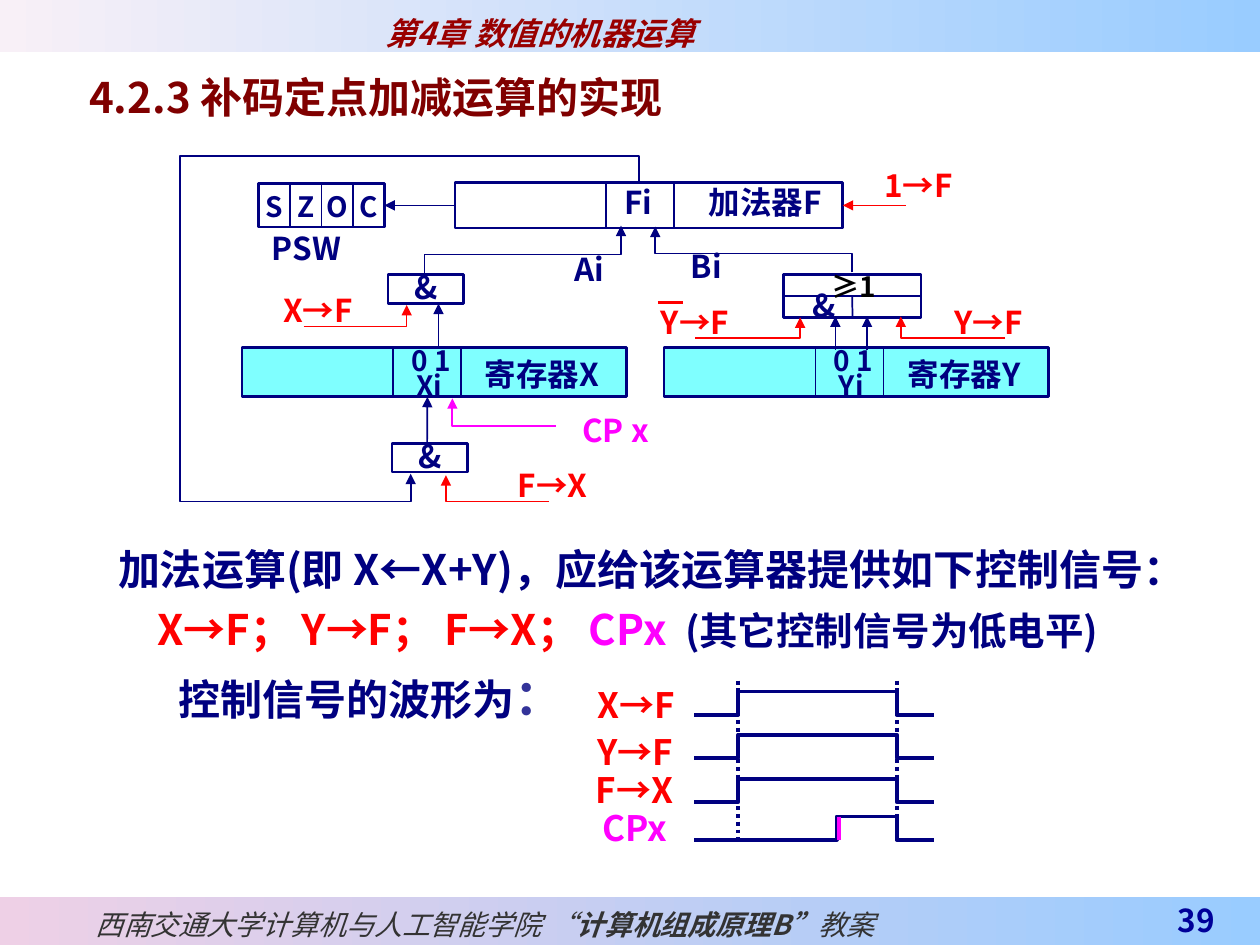
from dataclasses import dataclass
from typing import NamedTuple

import pptx
import pptx.dml.color
import pptx.enum.dml
import pptx.enum.shapes
import pptx.enum.text
import pptx.oxml.ns
import pptx.util
from lxml import etree

Cm, Pt, qn = pptx.util.Cm, pptx.util.Pt, pptx.oxml.ns.qn
ALIGN, ANCHOR = pptx.enum.text.PP_ALIGN, pptx.enum.text.MSO_ANCHOR
RECTANGLE = pptx.enum.shapes.MSO_SHAPE.RECTANGLE
STRAIGHT = pptx.enum.shapes.MSO_CONNECTOR.STRAIGHT
TOP, LEFT, BOTTOM, RIGHT = range(4)
SANS = "Noto Sans CJK SC"
NAVY, RED, MAGENTA, BLACK, CYAN = "000080", "FF0000", "FF00FF", "000000", "00FFFF"


class Place(NamedTuple):
    x: float
    y: float
    w: float
    h: float


@dataclass
class Run:
    text: str
    size: float = 18
    color: str = NAVY
    bold: bool = True
    italic: bool = False
    font: str = SANS


class Label(NamedTuple):
    text: str
    place: Place
    color: str = NAVY
    size: float = 18


class Wire(NamedTuple):
    """A bent line whose last point carries the arrowhead."""
    points: list
    color: str = NAVY
    weight: float = 1


class Wave(NamedTuple):
    name: str
    color: str
    name_x: float
    name_y: float
    high: float
    rise: float


def rgb(value: str):
    return pptx.dml.color.RGBColor.from_string(value)


def write(frame, paragraphs: list, align=ALIGN.LEFT, anchor=ANCHOR.TOP,
          margins=(0, 0, 0, 0), spacing=None) -> None:
    """Fill a text frame; margins are left, top, right, bottom in cm."""
    frame.word_wrap = True
    frame.vertical_anchor = anchor
    (frame.margin_left, frame.margin_top,
     frame.margin_right, frame.margin_bottom) = map(Cm, margins)
    for number, runs in enumerate(paragraphs):
        para = frame.add_paragraph() if number else frame.paragraphs[0]
        para.alignment = align
        if spacing:
            para.line_spacing = spacing
        for run in runs:
            span = para.add_run()
            span.text = run.text
            font = span.font
            font.size, font.bold, font.italic = Pt(run.size), run.bold, run.italic
            font.color.rgb = rgb(run.color)
            font.name = run.font
            etree.SubElement(font._element, qn("a:ea")).set("typeface", SANS)


def text_box(page, place: Place, paragraphs: list, **layout):
    box = page.shapes.add_textbox(*map(Cm, place))
    write(box.text_frame, paragraphs, **layout)
    return box


def draw_label(page, label: Label, align=ALIGN.CENTER) -> None:
    text_box(page, label.place, [[Run(label.text, label.size, label.color)]], align=align)


def rectangle(page, place: Place, weight: float, fill: str = "", opacity: int = 100):
    box = page.shapes.add_shape(RECTANGLE, *map(Cm, place))
    box.shadow.inherit = False
    box.line.color.rgb, box.line.width = rgb(NAVY), Pt(weight)
    if fill:
        box.fill.solid()
        box.fill.fore_color.rgb = rgb(fill)
        if opacity < 100:
            color = box._element.spPr.find(qn("a:solidFill"))[0]
            etree.SubElement(color, qn("a:alpha")).set("val", str(opacity * 1000))
    else:
        box.fill.background()
    return box


def band(page, place: Place, start: str, end: str):
    box = rectangle(page, place, 1)
    box.line.fill.background()
    box.fill.gradient()
    box.fill.gradient_angle = 0
    for stop, color in zip(box.fill.gradient_stops, (start, end)):
        stop.color.rgb = rgb(color)
    return box


def add_arrowhead(line) -> None:
    etree.SubElement(line._get_or_add_ln(), qn("a:tailEnd")).set("type", "triangle")


def straight(page, start, end, color=NAVY, weight=1.0, arrow=False):
    """Each end is a point in cm or a (shape, side) pair to join."""
    points = [(0, 0) if hasattr(end_[0], "shape_id") else end_ for end_ in (start, end)]
    link = page.shapes.add_connector(STRAIGHT, *(Cm(v) for point in points for v in point))
    if hasattr(start[0], "shape_id"):
        link.begin_connect(*start)
    if hasattr(end[0], "shape_id"):
        link.end_connect(*end)
    link.line.color.rgb, link.line.width = rgb(color), Pt(weight)
    etree.SubElement(link._element.spPr, qn("a:effectLst"))
    if arrow:
        add_arrowhead(link.line)
    return link


def bent(page, wire: Wire, arrow: bool = True) -> None:
    first, *rest = [(Cm(x), Cm(y)) for x, y in wire.points]
    builder = page.shapes.build_freeform(*first)
    builder.add_line_segments(rest, close=False)
    shape = builder.convert_to_shape()
    shape.shadow.inherit = False
    shape.fill.background()
    shape.line.color.rgb, shape.line.width = rgb(wire.color), Pt(wire.weight)
    if arrow:
        add_arrowhead(shape.line)


def and_gate(page, x: float, y: float) -> None:
    rectangle(page, Place(x, y, 1.52, 0.58), 1.5, "FFFFFF")
    draw_label(page, Label("&", Place(x - 0.16, y - 0.13, 1.85, 0.61)))


def register(page, name: str, x: float, y: float):
    """Draw a register and return its bit cell."""
    rectangle(page, Place(x, y, 7.75, 1), 1.5, CYAN, 50)
    cell = rectangle(page, Place(x + 3.05, y, 1.37, 1), 1)
    draw_label(page, Label("寄存器" + name, Place(x + 4.09, y + 0.15, 3.91, 0.84)))
    draw_label(page, Label(name + "i", Place(x + 2.74, y + 0.42, 2.06, 0.85), size=16))
    draw_label(page, Label("0 1", Place(x + 2.78, y - 0.08, 2.06, 0.85), size=16))
    return cell


def draw_frame(page) -> None:
    """Header, footer, page number and title."""
    header = band(page, Place(0, 0, 25.4, 1.06), "F8F0F7", "99CCFF")
    write(header.text_frame, [[Run("第4章 数值的机器运算", color="990000", italic=True)]],
          margins=(7.77, 0.13, 0.25, 0.13), spacing=1.2)
    footer = band(page, Place(0, 18.09, 25.4, 0.96), "EED0E6", "99CCFF")
    parts = [("西南交通大学计算机与人工智能学院 ", False, SANS), ("“", False, "Arial"),
             ("计算机组成", True, "Times New Roman"), ("原理B”", True, SANS),
             ("教案", False, SANS)]
    write(footer.text_frame, [[Run(text, 16, "333333", bold, True, font)
                               for text, bold, font in parts]],
          anchor=ANCHOR.MIDDLE, margins=(1.92, 0.13, 0.25, 0.13), spacing=1.2)
    text_box(page, Place(22, 18.09, 2.74, 0.96), [[Run("39", color="000099")]],
             align=ALIGN.RIGHT, anchor=ANCHOR.BOTTOM,
             margins=(0.25, 0, 0.25, 0.13), spacing=1.2)
    text_box(page, Place(1.55, 1.32, 23.85, 1.14),
             [[Run("4.2.3 补码定点加减运算的实现", 24, "800000")]],
             margins=(0.25, 0.13, 0.25, 0))


def draw_circuit(page) -> None:
    and_gate(page, 7.82, 5.54)
    and_gate(page, 7.9, 8.94)
    or_gate = rectangle(page, Place(15.8, 5.54, 2.77, 0.86), 1.5, "FFFFFF")
    straight(page, (or_gate, LEFT), (or_gate, RIGHT))
    straight(page, (17.18, 5.97), (or_gate, BOTTOM))
    adder = rectangle(page, Place(9.17, 3.68, 7.82, 0.92), 1.5)
    rectangle(page, Place(12.22, 3.68, 1.37, 0.92), 1)
    x_cell = register(page, "X", 4.88, 7)
    register(page, "Y", 13.39, 7)
    status = Place(5.21, 3.7, 2.54, 0.88)
    width = status.w / 4
    for index, flag in enumerate("SZOC"):
        cell = rectangle(page, Place(status.x + index * width, status.y, width, status.h), 0.75)
        write(cell.text_frame, [[Run(flag, 16)]], align=ALIGN.CENTER,
              margins=(0, 0.13, 0, 0.13))
    status_box = rectangle(page, status, 1.5)

    straight(page, (adder, LEFT), (status_box, RIGHT), arrow=True)
    straight(page, (18.26, 4.14), (adder, RIGHT), RED, arrow=True)
    straight(page, (8.61, 8.94), (x_cell, BOTTOM), arrow=True)
    straight(page, (8.84, 7), (8.84, 6.12), arrow=True)
    for x in (16.84, 17.48):
        straight(page, (x, 7.06), (x, 6.38), arrow=True)
    straight(page, (13.26, 6.1), (13.77, 6.1), RED, 1.5)
    for wire in (
        Wire([(8.56, 5.54), (8.56, 5.13), (12.52, 5.13), (12.52, 4.55)]),
        Wire([(17.17, 5.49), (17.17, 5.11), (13.21, 5.11), (13.21, 4.57)]),
        Wire([(12.88, 3.68), (12.88, 3.15), (3.63, 3.15), (3.63, 10.11),
              (8.28, 10.11), (8.28, 9.55)]),
        Wire([(20.27, 6.81), (18.16, 6.81), (18.16, 6.38)], RED),
        Wire([(14.02, 6.81), (16.13, 6.81), (16.13, 6.4)], RED),
        Wire([(11.07, 10.11), (8.99, 10.11), (8.99, 9.58)], RED),
        Wire([(11.2, 8.59), (9.12, 8.59), (9.12, 8.03)], MAGENTA),
        Wire([(6.12, 6.58), (8.2, 6.58), (8.2, 6.15)], RED, 0.75),
    ):
        bent(page, wire)
    for label in (
        Label("≥1", Place(16.13, 5.44, 2.16, 0.64), BLACK, 16),
        Label("&", Place(15.49, 5.77, 2.26, 0.74)),
        Label("加法器F", Place(13.36, 3.68, 4.14, 0.76)),
        Label("Fi", Place(11.84, 3.68, 2.06, 0.76)),
        Label("PSW", Place(5.11, 4.62, 2.13, 0.61)),
        Label("Ai", Place(10.92, 5.05, 1.91, 0.69)),
        Label("Bi", Place(13.28, 4.98, 1.91, 0.69)),
        Label("1→F", Place(16.76, 3.35, 3.51, 0.79), RED),
        Label("Y→F", Place(18.47, 6.1, 2.92, 0.69), RED),
        Label("Y→F", Place(12.55, 6.1, 2.92, 0.69), RED),
        Label("X→F", Place(4.95, 5.87, 2.92, 0.69), RED),
        Label("F→X", Place(9.68, 9.4, 2.92, 0.66), RED),
        Label("CP x", Place(10.95, 8.28, 2.92, 0.69), MAGENTA),
    ):
        draw_label(page, label)


def draw_explanation(page) -> None:
    box = text_box(page, Place(2.13, 10.62, 23.14, 2.59), [
        [Run("加法运算(即 X←X+Y)，应给该运算器提供如下控制信号：", 24)],
        [Run("X→F； Y→F； F→X； ", 24, RED), Run("CPx\t", 24, MAGENTA),
         Run("(其它控制信号为低电平)", 22)],
    ], align=ALIGN.JUSTIFY, margins=(0.25, 0.13, 0.25, 0), spacing=1.2)
    properties = box.text_frame.paragraphs[1]._p.get_or_add_pPr()
    properties.set("marL", "0")
    properties.set("indent", str(Cm(0.79)))
    tabs = etree.SubElement(properties, qn("a:tabLst"))
    etree.SubElement(tabs, qn("a:tab"), pos=str(Cm(13.08)), algn="l")
    text_box(page, Place(3.35, 13.31, 22.05, 1.32),
             [[Run("控制信号的波形为", 24), Run("：", 28, "333399")]],
             margins=(0.25, 0.13, 0.25, 0))


def draw_waveforms(page) -> None:
    left, rise, fall, right, swing = 14, 14.88, 18.08, 18.82, 0.47
    for x in (rise, fall):
        guide = straight(page, (x, 13.72), (x, 16.99), weight=2.25)
        guide.line.dash_style = pptx.enum.dml.MSO_LINE.ROUND_DOT
    for wave in (
        Wave("X→F", RED, 12.04, 13.77, 13.94, rise),
        Wave("Y→F", RED, 12.04, 14.73, 14.81, rise),
        Wave("F→X", RED, 12.01, 15.49, 15.7, rise),
        Wave("CPx", MAGENTA, 12.14, 16.26, 16.46, 16.87),
    ):
        low = wave.high + swing
        bent(page, Wire([(left, low), (wave.rise, low), (wave.rise, wave.high),
                         (fall, wave.high), (fall, low), (right, low)], weight=2.25), False)
        draw_label(page, Label(wave.name, Place(wave.name_x, wave.name_y, 1.73, 0.81),
                               wave.color, 20), ALIGN.JUSTIFY)
    straight(page, (16.92, 16.46), (16.92, 16.46 + swing), MAGENTA, 2.25)


def main() -> None:
    deck = pptx.Presentation()
    deck.slide_width, deck.slide_height = Cm(25.4), Cm(19.05)
    page = deck.slides.add_slide(deck.slide_layouts[6])
    draw_frame(page)
    draw_circuit(page)
    draw_explanation(page)
    draw_waveforms(page)
    deck.save("out.pptx")


if __name__ == "__main__":
    main()
